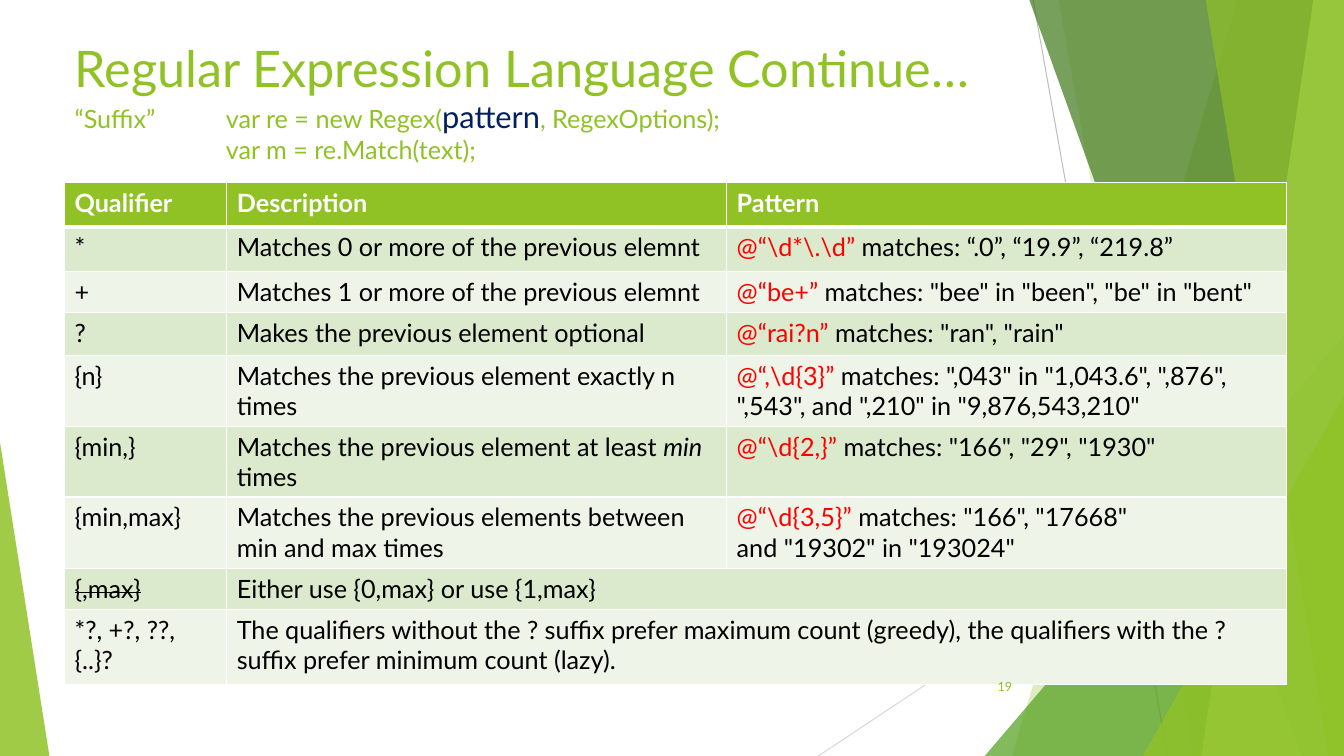
from copy import deepcopy
from lxml.etree import SubElement
from pptx import Presentation
from pptx.dml.color import RGBColor
from pptx.enum.shapes import MSO_CONNECTOR, MSO_SHAPE
from pptx.enum.text import MSO_ANCHOR, MSO_AUTO_SIZE, PP_ALIGN
from pptx.oxml.ns import qn
from pptx.util import Pt

GREEN = RGBColor(0x90, 0xC2, 0x26)
MID_GREEN = RGBColor(0x54, 0xA0, 0x21)
DARK_GREEN = RGBColor(0x3F, 0x78, 0x19)
LIME = RGBColor(0xC0, 0xE4, 0x74)
BAND = RGBColor(0xDB, 0xE9, 0xCD)
PALE_BAND = RGBColor(0xEE, 0xF4, 0xE8)
NAVY = RGBColor(0x00, 0x20, 0x60)
RED = RGBColor(0xFF, 0x00, 0x00)
BLACK = RGBColor(0x00, 0x00, 0x00)
WHITE = RGBColor(0xFF, 0xFF, 0xFF)
GREY = RGBColor(0xBF, 0xBF, 0xBF)
LIGHT_GREY = RGBColor(0xD9, 0xD9, 0xD9)

HEADINGS = ["Qualifier", "Description", "Pattern"]
COLUMN_WIDTHS = [115.9, 357.1, 399.6]
ROW_HEIGHTS = [31.7, 31.7, 29.5, 31, 49.7, 48.2, 51.1, 29.5, 53.3]
QUALIFIERS = [
    ("*", "Matches 0 or more of the previous elemnt",
     r"@“\d*\.\d”", " matches: “.0”, “19.9”, “219.8”"),
    ("+", "Matches 1 or more of the previous elemnt",
     "@“be+”", ' matches: "bee" in "been", "be" in "bent"'),
    ("?", "Makes the previous element optional",
     "@“rai?n”", ' matches: "ran", "rain"'),
    ("{n}", "Matches the previous element exactly n times",
     r"@“,\d{3}”", ' matches: ",043" in "1,043.6", ",876", ",543", and ",210" in "9,876,543,210"'),
    ("{min,}", ("Matches the previous element at least ", "min", " times"),
     r"@“\d{2,}”", ' matches: "166", "29", "1930"'),
    ("{min,max}", "Matches the previous elements between min and max times",
     r"@“\d{3,5}”", ' matches: "166", "17668"\nand "19302" in "193024"'),
    ("{,max}", "Either use {0,max} or use {1,max}", None, None),
    ("*?, +?, ??, {..}?",
     "The qualifiers without the ? suffix prefer maximum count (greedy), "
     "the qualifiers with the ? suffix prefer minimum count (lazy).", None, None),
]


def add_text(p, text, size=18, color=BLACK, bold=False, italic=False, strike=False):
    for i, line in enumerate(text.split("\n")):
        if i:
            p.add_line_break()
            p._p.findall(qn("a:br"))[-1].append(deepcopy(r._r.rPr))
        r = p.add_run()
        r.text = line
        r.font.name = "Lato"
        r.font.size = Pt(size)
        r.font.color.rgb = color
        r.font.bold = bold
        r.font.italic = italic
        if strike:
            r._r.rPr.set("strike", "sngStrike")


def paint(shape, color, opacity):
    shape.shadow.inherit = False
    shape.fill.solid()
    shape.fill.fore_color.rgb = color
    shape.line.fill.background()
    clr = shape._element.spPr.find(qn("a:solidFill")).find(qn("a:srgbClr"))
    SubElement(clr, qn("a:alpha")).set("val", str(opacity * 1000))


def add_backdrop(s, left, top, width, height):
    right, bottom = left + width, top + height

    def thin_line(x1, y1, x2, y2, color):
        c = s.shapes.add_connector(MSO_CONNECTOR.STRAIGHT, Pt(left + x1), Pt(top + y1),
                                   Pt(left + x2), Pt(top + y2))
        c.line.color.rgb = color
        c.line.width = Pt(0.75)
        SubElement(c._element.spPr, qn("a:effectLst"))

    def facet(upper_x, lower_x, color, opacity):
        edge = top - 0.6
        fb = s.shapes.build_freeform(Pt(left + upper_x), Pt(edge))
        fb.add_line_segments([(Pt(right), Pt(edge)), (Pt(right), Pt(bottom)),
                              (Pt(left + lower_x), Pt(bottom))], close=True)
        paint(fb.convert_to_shape(), color, opacity)

    def corner(x, w, h, apex, color, opacity):
        sp = s.shapes.add_shape(MSO_SHAPE.ISOSCELES_TRIANGLE, Pt(left + x), Pt(bottom - h),
                                Pt(w), Pt(h))
        sp.adjustments[0] = apex
        paint(sp, color, opacity)

    thin_line(738, 0, 834, height, GREY)
    thin_line(width, 290.2, 584.6, height, LIGHT_GREY)
    facet(884.2, 722.9, GREEN, 30)
    facet(756, 851.8, GREEN, 20)
    corner(703.4, 256.6, 300.2, 1, MID_GREEN, 72)
    facet(735.1, 929.5, DARK_GREEN, 70)
    facet(938.2, 858.2, LIME, 70)
    facet(861.1, 949, GREEN, 65)
    corner(816.5, 143.5, 257, 1, GREEN, 80)
    corner(0, 35.3, 224, 0, GREEN, 85)


def add_title(s, left, top, width, height):
    title = s.shapes.title
    s.shapes._spTree.append(title._element)
    title.left, title.top, title.width, title.height = Pt(left), Pt(top), Pt(width), Pt(height)
    tf = title.text_frame
    tf.auto_size = MSO_AUTO_SIZE.NONE
    tf.vertical_anchor = MSO_ANCHOR.TOP
    p = tf.paragraphs[0]
    p.alignment = PP_ALIGN.LEFT
    p._p.get_or_add_pPr().set("defTabSz", str(Pt(36)))
    add_text(p, "Regular Expression Language Continue…\n", size=36, color=GREEN)
    add_text(p, "“Suffix”\t\tvar re = new Regex(", color=GREEN)
    add_text(p, "pattern", size=22, color=NAVY)
    add_text(p, ", RegexOptions);\n\t\t\tvar m = re.Match(text);", color=GREEN)


def format_cell(cell, fill, bottom_width):
    cell.fill.solid()
    cell.fill.fore_color.rgb = fill
    tcPr = cell._tc.get_or_add_tcPr()
    for i, side in enumerate(("lnL", "lnR", "lnT", "lnB")):
        ln = SubElement(tcPr, qn(f"a:{side}"))
        ln.set("w", str(Pt(bottom_width if side == "lnB" else 1)))
        SubElement(SubElement(ln, qn("a:solidFill")), qn("a:srgbClr")).set("val", str(WHITE))
        tcPr.insert(i, ln)


def add_qualifier_table(s, left, top, width, height):
    table = s.shapes.add_table(len(ROW_HEIGHTS), len(COLUMN_WIDTHS), Pt(left), Pt(top),
                               Pt(width), Pt(height)).table
    for column, w in zip(table.columns, COLUMN_WIDTHS):
        column.width = Pt(w)
    for i, (row, h) in enumerate(zip(table.rows, ROW_HEIGHTS)):
        row.height = Pt(h)
        fill = GREEN if i == 0 else BAND if i % 2 else PALE_BAND
        for cell in row.cells:
            format_cell(cell, fill, 1 if i else 3)
    for j, heading in enumerate(HEADINGS):
        add_text(table.cell(0, j).text_frame.paragraphs[0], heading, color=WHITE, bold=True)
    for i, (qualifier, description, pattern, matches) in enumerate(QUALIFIERS, 1):
        name, meaning, example = (table.cell(i, j).text_frame.paragraphs[0] for j in range(3))
        add_text(name, qualifier, strike=qualifier == "{,max}")
        parts = (description,) if isinstance(description, str) else description
        for k, part in enumerate(parts):
            add_text(meaning, part, italic=k == 1)
        if pattern:
            add_text(example, pattern, color=RED)
            add_text(example, matches)
        else:
            table.cell(i, 1).merge(table.cell(i, 2))


def add_slide_number(s, left, top, width, height):
    tf = s.shapes.add_textbox(Pt(left), Pt(top), Pt(width), Pt(height)).text_frame
    tf.word_wrap = True
    tf.vertical_anchor = MSO_ANCHOR.MIDDLE
    p = tf.paragraphs[0]
    p.alignment = PP_ALIGN.RIGHT
    add_text(p, "19", size=9, color=GREEN)


def main():
    prs = Presentation()
    prs.slide_width, prs.slide_height = Pt(960), Pt(540)
    s = prs.slides.add_slide(prs.slide_layouts[5])
    add_backdrop(s, 0, 0, 960, 540)
    add_title(s, 46.1, 23, 684, 100)
    add_qualifier_table(s, 46.1, 130.3, sum(COLUMN_WIDTHS), sum(ROW_HEIGHTS))
    add_slide_number(s, 676, 476, 54, 28.8)
    prs.save("out.pptx")


if __name__ == "__main__":
    main()
